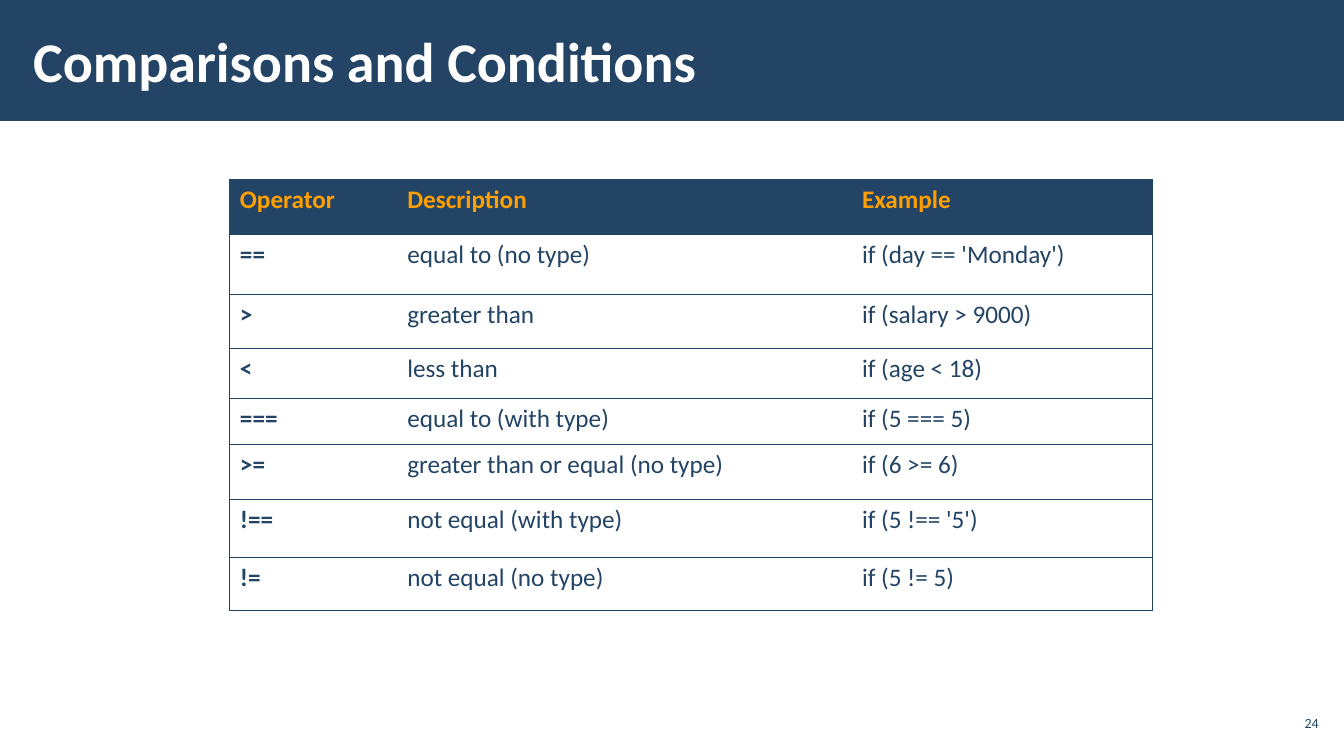
from lxml.etree import SubElement
from pptx import Presentation
from pptx.dml.color import RGBColor
from pptx.enum.shapes import MSO_SHAPE as SHAPE
from pptx.enum.text import MSO_ANCHOR as ANCHOR, PP_ALIGN as ALIGN
from pptx.oxml.ns import qn
from pptx.util import Inches, Pt

NAVY, BORDER, AMBER, WHITE = "234465", "214364", "FFA000", "FFFFFF"

ROWS = [
    ("Operator", "Description", "Example"),
    ("==", "equal to (no type)", "if (day == 'Monday')"),
    (">", "greater than", "if (salary > 9000)"),
    ("<", "less than", "if (age < 18)"),
    ("===", "equal to (with type)", "if (5 === 5)"),
    (">=", "greater than or equal (no type)", "if (6 >= 6)"),
    ("!==", "not equal (with type)", "if (5 !== '5')"),
    ("!=", "not equal (no type)", "if (5 != 5)"),
]
COL_WIDTHS = [1.66, 4.51, 2.98]
ROW_HEIGHTS = [0.55, 0.59, 0.54, 0.49, 0.46, 0.55, 0.57, 0.53]


def rgb(value):
    return RGBColor.from_string(value)


def write(tf, text, size=18, color=NAVY, bold=False, font="Calibri", align=ALIGN.LEFT):
    p = tf.paragraphs[0]
    p.alignment = align
    r = p.add_run()
    r.text = text
    r.font.name = font
    r.font.size = Pt(size)
    r.font.bold = bold
    r.font.color.rgb = rgb(color)


def set_borders(cell, visible, color=BORDER, width=0.75):
    tc_pr = cell._tc.get_or_add_tcPr()
    for side in "LRTB":
        ln = SubElement(tc_pr, qn(f"a:ln{side}"), w=str(Pt(width)))
        if side in visible:
            fill = SubElement(ln, qn("a:solidFill"))
            SubElement(fill, qn("a:srgbClr"), val=color)
        else:
            SubElement(ln, qn("a:noFill"))


class Deck:
    def __init__(self, width, height):
        self.prs = Presentation()
        self.prs.slide_width = Inches(width)
        self.prs.slide_height = Inches(height)
        self.s = self.prs.slides.add_slide(self.prs.slide_layouts[6])

    def band(self, x, y, w, h, color):
        sp = self.s.shapes.add_shape(SHAPE.RECTANGLE, Inches(x), Inches(y), Inches(w), Inches(h))
        sp.shadow.inherit = False
        sp.fill.solid()
        sp.fill.fore_color.rgb = rgb(color)
        sp.line.fill.background()

    def text(self, x, y, w, h, text, inset=0.04, **style):
        tf = self.s.shapes.add_textbox(Inches(x), Inches(y), Inches(w), Inches(h)).text_frame
        tf.word_wrap = True
        tf.vertical_anchor = ANCHOR.MIDDLE
        tf.margin_left = tf.margin_right = Inches(inset)
        tf.margin_top = tf.margin_bottom = Inches(0.04)
        write(tf, text, **style)

    def table(self, x, y, col_widths, row_heights, rows):
        table = self.s.shapes.add_table(
            len(rows), len(col_widths), Inches(x), Inches(y),
            Inches(sum(col_widths)), Inches(sum(row_heights))).table
        table.horz_banding = False
        for column, width in zip(table.columns, col_widths):
            column.width = Inches(width)
        for row, height in zip(table.rows, row_heights):
            row.height = Inches(height)
        last = len(col_widths) - 1
        for i, row in enumerate(rows):
            header = i == 0
            for j, text in enumerate(row):
                cell = table.cell(i, j)
                write(cell.text_frame, text, color=AMBER if header else NAVY, bold=header or j == 0)
                set_borders(cell, "TB" + "L" * (j == 0) + "R" * (j == last))
                cell.fill.solid()
                cell.fill.fore_color.rgb = rgb(NAVY if header else WHITE)

    def save(self):
        self.prs.save("out.pptx")


def main():
    deck = Deck(13.33, 7.5)
    deck.band(0, 0, 13.33, 1.2, NAVY)
    deck.text(0.21, 0.11, 10.4, 0.97, "Comparisons and Conditions",
              inset=0.12, size=40, color=WHITE, bold=True)
    deck.text(12.65, 7, 0.47, 0.34, "24", size=10, align=ALIGN.RIGHT)
    deck.table(2.28, 1.78, COL_WIDTHS, ROW_HEIGHTS, ROWS)
    deck.save()


if __name__ == "__main__":
    main()
